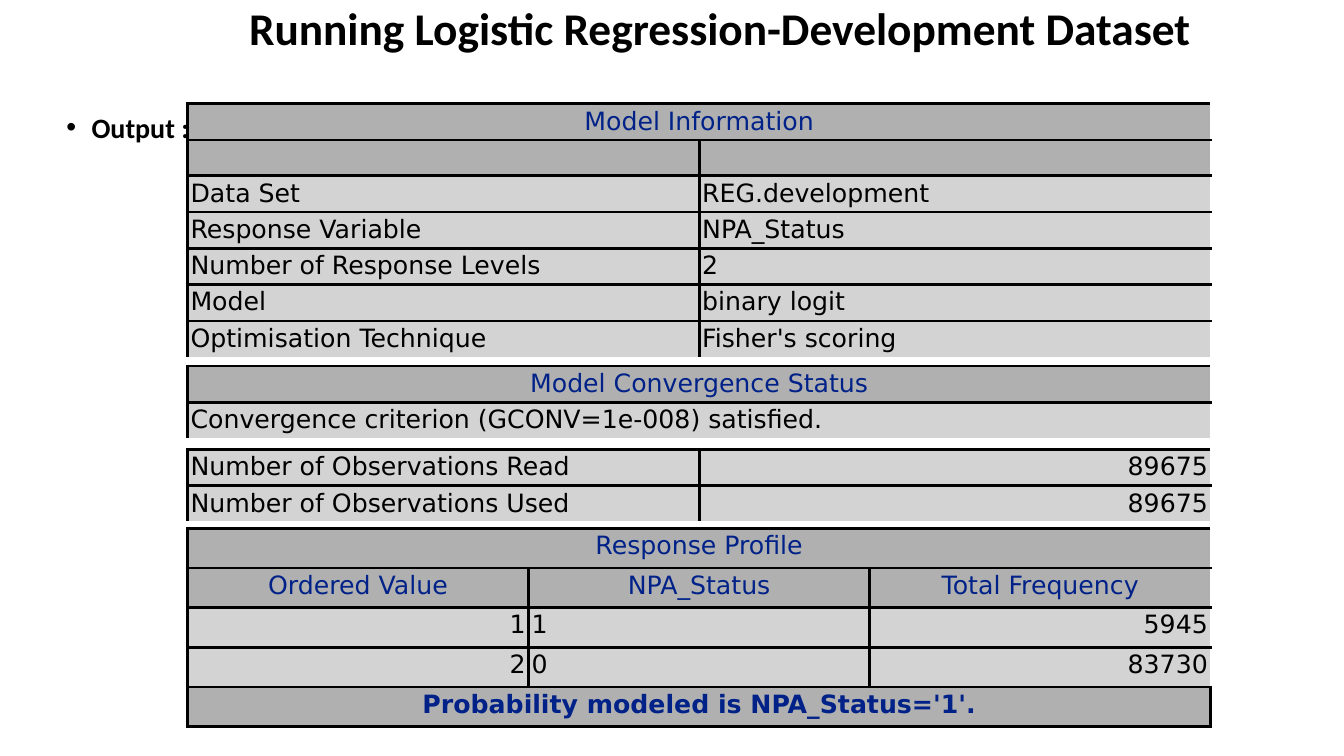
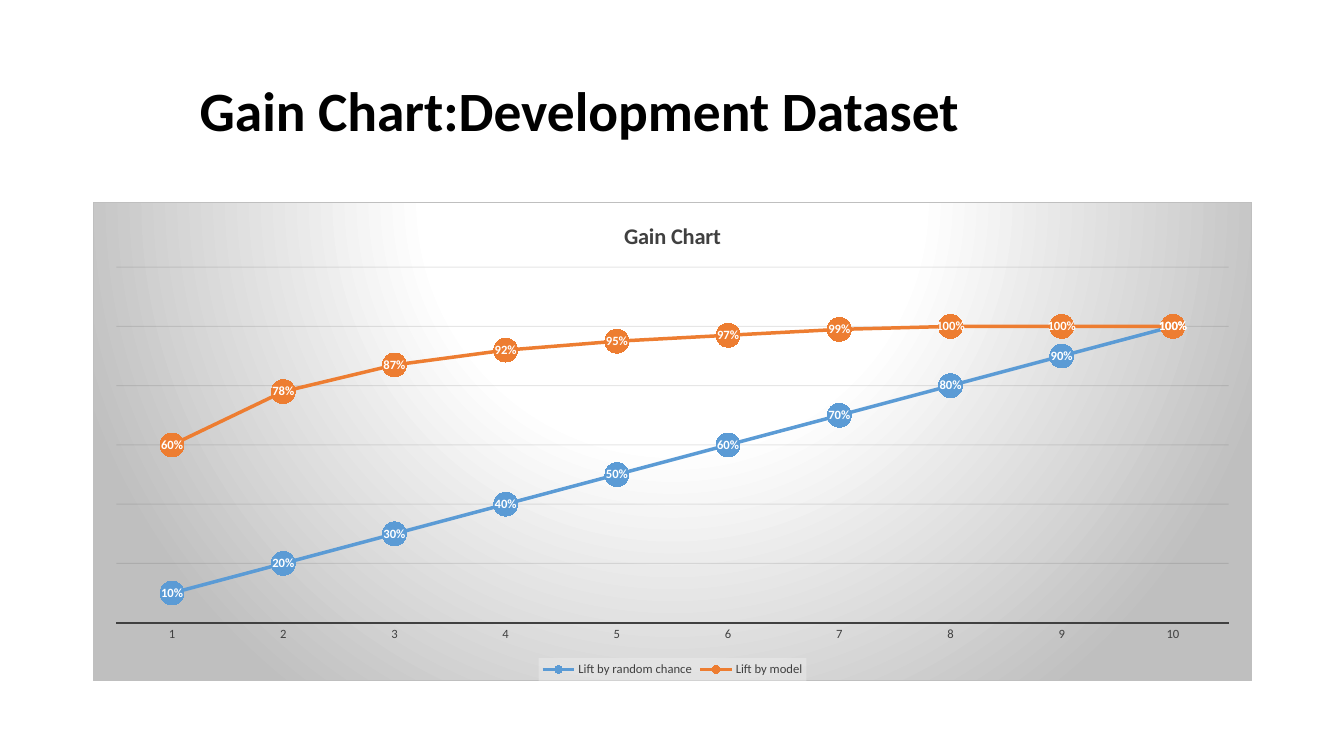
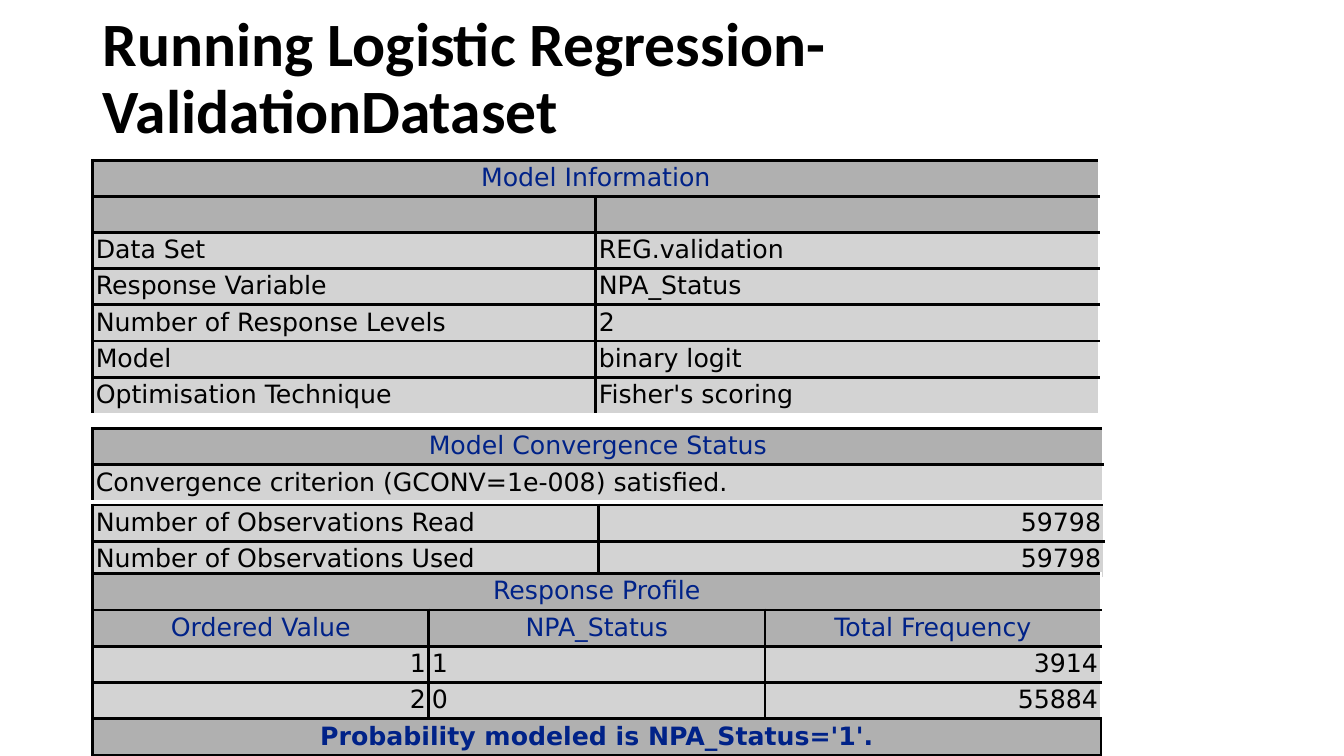
from dataclasses import dataclass

from pptx import Presentation
from pptx.chart.data import CategoryChartData
from pptx.dml.color import RGBColor
from pptx.enum.chart import XL_CHART_TYPE as ChartType
from pptx.enum.chart import XL_LABEL_POSITION as LabelPosition
from pptx.enum.chart import XL_LEGEND_POSITION as LegendPosition
from pptx.enum.chart import XL_MARKER_STYLE as MarkerStyle
from pptx.enum.chart import XL_TICK_MARK as TickMark
from pptx.enum.text import MSO_ANCHOR as Anchor
from pptx.enum.text import PP_ALIGN as Align
from pptx.oxml import parse_xml
from pptx.oxml.ns import nsdecls
from pptx.util import Inches, Pt

# Content: frames are (left, top, width, height) in inches
REPORTS = {
    "development": {
        "title": "Running Logistic Regression-Development Dataset",
        "title_format": {"frame": (0.92, 0.06, 11.24, 0.86), "size": 32.4,
                         "indent": 1.45, "anchor": Anchor.TOP},
        "bullet": "Output :",
        "read": "89675", "events": "5945", "others": "83730",
        "frames": {"info": (1.86, 1.03, 10.15, 2.47),
                   "observations": (1.86, 4.46, 10.15, 0.7),
                   "profile": (1.86, 5.24, 10.15, 1.97),
                   "convergence": (1.86, 3.63, 10.15, 0.7)},
    },
    "validation": {
        "title": "Running Logistic Regression-ValidationDataset",
        "title_format": {"frame": (0.92, 0.4, 11.5, 0.79), "size": 44},
        "bullet": None,
        "read": "59798", "events": "3914", "others": "55884",
        "frames": {"info": (0.92, 1.59, 9.98, 2.47),
                   "observations": (0.92, 5.01, 10.03, 0.7),
                   "profile": (0.92, 5.69, 10, 1.77),
                   "convergence": (0.92, 4.25, 10.02, 0.7)},
    },
}
GAIN = {
    "title": "Gain Chart:Development Dataset",
    "title_format": {"frame": (0.92, 0.4, 11.5, 1.45), "size": 39.6, "indent": 0.96},
    "frame": (0.92, 2, 11.5, 4.76),
    "chart_title": "Gain Chart",
    "deciles": [str(decile) for decile in range(1, 11)],
    "series": [
        ("Lift by random chance", [decile / 10 for decile in range(1, 11)], "5B9BD5"),
        ("Lift by model", [0.6, 0.78, 0.87, 0.92, 0.95, 0.97, 0.99, 1, 1, 1], "ED7D31"),
    ],
}


@dataclass(frozen=True)
class Theme:
    """Colours, fonts and sizes shared by the slides."""
    ink: str = "000000"
    paper: str = "FFFFFF"
    blue: str = "002288"
    head_fill: str = "B0B0B0"
    data_fill: str = "D3D3D3"
    chart_ink: str = "404040"
    chart_edge: str = "BFBFBF"
    legend_fill: str = "F2F2F2"
    grid: str = "0D0D0D"
    font: str = "Calibri"
    table_font: str = "DejaVu Sans"
    table_size: float = 18
    bullet_size: float = 20
    chart_title_size: float = 16
    chart_size: float = 9
    marker_size: int = 17
    rule: float = 2.25
    thin_rule: float = 1.13
    cell_inset: float = 0.03


THEME = Theme()
ALIGNS = {"l": Align.LEFT, "c": Align.CENTER, "r": Align.RIGHT}


def rgb(code):
    """Turn a hex code into a colour."""
    return RGBColor.from_string(code)


def assign(target, values):
    """Set attributes of an object from a dict."""
    for name, value in values.items():
        setattr(target, name, value)


def style_font(font, size, color, bold=False, name=THEME.font):
    """Set face, size, weight and colour of a font."""
    assign(font, {"name": name, "size": Pt(size), "bold": bold})
    font.color.rgb = rgb(color)


def add_page(deck):
    """Add a blank white slide."""
    page = deck.slides.add_slide(deck.slide_layouts[6])
    page.background.fill.solid()
    page.background.fill.fore_color.rgb = rgb(THEME.paper)
    return page


def add_text(page, text, frame, size, anchor=Anchor.TOP, **insets):
    """Add a bold text box and return its paragraph."""
    box = page.shapes.add_textbox(*map(Inches, frame))
    assign(box.text_frame, {"word_wrap": True, "vertical_anchor": anchor, **insets})
    para = box.text_frame.paragraphs[0]
    para.line_spacing = 0.9
    span = para.add_run()
    span.text = text
    style_font(span.font, size, THEME.ink, bold=True)
    return para


def add_title(page, text, frame, size, indent=0, anchor=Anchor.MIDDLE):
    """Add a slide title, indented from the left of its frame."""
    add_text(page, text, frame, size, anchor, margin_left=Inches(0.1 + indent),
             margin_top=0, margin_bottom=0)


def add_bullet(page, text):
    """Add the bulleted body line."""
    para = add_text(page, text, (0.56, 1.08, 11.86, 6.19), THEME.bullet_size)
    props = para._p.get_or_add_pPr()
    for name, value in {"marL": Inches(0.25), "indent": -Inches(0.25)}.items():
        props.set(name, str(int(value)))
    props.append(parse_xml(f'<a:buFont {nsdecls("a")} typeface="Arial"/>'))
    props.append(parse_xml(f'<a:buChar {nsdecls("a")} char="•"/>'))


def report_tables(dataset, report):
    """Return the tables of a report: name, data alignment, rows of (role, texts)."""
    return [
        ("info", "ll", [
            ("head", ["Model Information"]),
            ("head", ["", ""]),
            ("data", ["Data Set", f"REG.{dataset}"]),
            ("data", ["Response Variable", "NPA_Status"]),
            ("data", ["Number of Response Levels", "2"]),
            ("data", ["Model", "binary logit"]),
            ("data", ["Optimisation Technique", "Fisher's scoring"])]),
        ("observations", "lr", [
            ("data", ["Number of Observations Read", report["read"]]),
            ("data", ["Number of Observations Used", report["read"]])]),
        ("profile", "rlr", [
            ("head", ["Response Profile"]),
            ("head", ["Ordered Value", "NPA_Status", "Total Frequency"]),
            ("data", ["1", "1", report["events"]]),
            ("data", ["2", "0", report["others"]]),
            ("foot", ["Probability modeled is NPA_Status='1'."])]),
        ("convergence", "l", [
            ("head", ["Model Convergence Status"]),
            ("data", ["Convergence criterion (GCONV=1e-008) satisfied."])]),
    ]


def set_borders(cell, open_sides):
    """Rule a cell in black, with thin white on its open sides."""
    props = cell._tc.get_or_add_tcPr()
    for place, side in enumerate("LRTB"):
        is_open = side in open_sides
        color = THEME.paper if is_open else THEME.ink
        width = Pt(THEME.thin_rule if is_open else THEME.rule)
        props.insert(place, parse_xml(
            f'<a:ln{side} {nsdecls("a")} w="{int(width)}"><a:solidFill>'
            f'<a:srgbClr val="{color}"/></a:solidFill></a:ln{side}>'))


def fill_cell(cell, text, role, align):
    """Write one cell in the style of its row's role."""
    is_data = role == "data"
    inset = Inches(THEME.cell_inset)
    height_inset = inset if text else 0
    assign(cell, {"margin_left": inset, "margin_right": inset,
                  "margin_top": height_inset, "margin_bottom": height_inset})
    cell.fill.solid()
    cell.fill.fore_color.rgb = rgb(THEME.data_fill if is_data else THEME.head_fill)
    para = cell.text_frame.paragraphs[0]
    para.alignment = ALIGNS[align if is_data else "c"]
    if text:
        span = para.add_run()
        span.text = text
        style_font(span.font, THEME.table_size, THEME.ink if is_data else THEME.blue,
                   role == "foot", THEME.table_font)


def add_report_table(page, frame, aligns, rows):
    """Add a table with equal rows and columns; a lone text spans its row."""
    count, columns = len(rows), len(aligns)
    table = page.shapes.add_table(count, columns, *map(Inches, frame)).table
    assign(table, {"first_row": False, "horz_banding": False})
    for row, (role, texts) in enumerate(rows):
        spans = len(texts) < columns
        if spans:
            table.cell(row, 0).merge(table.cell(row, columns - 1))
        for column, align in enumerate(aligns):
            cell = table.cell(row, column)
            text = texts[column] if column < len(texts) else ""
            fill_cell(cell, text, role, align)
            right_open = role != "foot" and (spans or column == columns - 1)
            bottom_open = role != "foot" and row == count - 1
            set_borders(cell, "R" * right_open + "B" * bottom_open)


def add_report(deck, dataset, report):
    """Add a slide with the regression output for one dataset."""
    page = add_page(deck)
    add_title(page, report["title"], **report["title_format"])
    if report["bullet"]:
        add_bullet(page, report["bullet"])
    for name, aligns, rows in report_tables(dataset, report):
        add_report_table(page, report["frames"][name], aligns, rows)


def style_series(series, color):
    """Style one line with its round markers and centred labels."""
    series.smooth = False
    series.format.line.width = Pt(2.5)
    series.format.line.color.rgb = rgb(color)
    marker = series.marker
    assign(marker, {"style": MarkerStyle.CIRCLE, "size": THEME.marker_size})
    marker.format.fill.solid()
    marker.format.fill.fore_color.rgb = rgb(color)
    marker.format.line.fill.background()
    labels = series.data_labels
    assign(labels, {"show_value": True, "position": LabelPosition.CENTER,
                    "number_format": "0%", "number_format_is_linked": False})
    style_font(labels.font, THEME.chart_size, THEME.paper, bold=True)


def style_axes(chart):
    """Show the category axis and only the faint grid of the value axis."""
    deciles, shares = chart.category_axis, chart.value_axis
    assign(deciles, {"major_tick_mark": TickMark.NONE, "minor_tick_mark": TickMark.NONE})
    style_font(deciles.tick_labels.font, THEME.chart_size, THEME.chart_ink)
    deciles.format.line.width = Pt(1.5)
    deciles.format.line.color.rgb = rgb(THEME.chart_ink)
    assign(shares, {"visible": False, "has_major_gridlines": True, "minimum_scale": 0,
                    "maximum_scale": 1.2, "major_unit": 0.2})
    grid = shares.major_gridlines.format.line
    grid.width = Pt(0.75)
    grid.color.rgb = rgb(THEME.grid)
    grid_color = chart.element.xpath(".//c:majorGridlines//a:srgbClr")[0]
    grid_color.append(parse_xml(f'<a:alpha {nsdecls("a")} val="10000"/>'))


def style_legend(chart):
    """Place the legend below the plot on a translucent panel."""
    chart.has_legend = True
    legend = chart.legend
    assign(legend, {"position": LegendPosition.BOTTOM, "include_in_layout": False})
    style_font(legend.font, THEME.chart_size, THEME.chart_ink)
    chart.element.xpath("c:chart/c:legend/c:txPr")[0].addprevious(parse_xml(
        f'<c:spPr {nsdecls("c", "a")}><a:solidFill><a:srgbClr val="{THEME.legend_fill}">'
        '<a:alpha val="39000"/></a:srgbClr></a:solidFill></c:spPr>'))


def shade_chart(chart):
    """Give the chart area a radial gradient and a thin edge."""
    stops = [(0, THEME.paper), (39, THEME.paper), (100, THEME.chart_edge)]
    stop_xml = "".join(f'<a:gs pos="{share * 1000}"><a:srgbClr val="{color}"/></a:gs>'
                       for share, color in stops)
    chart.element.xpath("c:chart")[0].addnext(parse_xml(
        f'<c:spPr {nsdecls("c", "a")}><a:gradFill><a:gsLst>{stop_xml}</a:gsLst>'
        '<a:path path="circle"><a:fillToRect l="50000" t="-80000" r="50000" b="180000"/>'
        f'</a:path></a:gradFill><a:ln w="{int(Pt(0.75))}"><a:solidFill>'
        f'<a:srgbClr val="{THEME.chart_edge}"/></a:solidFill></a:ln></c:spPr>'))


def add_gain_chart(deck, gain):
    """Add the slide with the gain chart."""
    page = add_page(deck)
    add_title(page, gain["title"], **gain["title_format"])
    data = CategoryChartData(number_format="0%")
    data.categories = gain["deciles"]
    for name, values, _ in gain["series"]:
        data.add_series(name, values)
    chart = page.shapes.add_chart(ChartType.LINE_MARKERS,
                                  *map(Inches, gain["frame"]), data).chart
    style_font(chart.font, 10, THEME.ink)
    chart.plots[0].vary_by_categories = False
    chart.has_title = True
    span = chart.chart_title.text_frame.paragraphs[0].add_run()
    span.text = gain["chart_title"]
    style_font(span.font, THEME.chart_title_size, THEME.chart_ink, bold=True)
    for series, (_, _, color) in zip(chart.plots[0].series, gain["series"]):
        style_series(series, color)
    style_axes(chart)
    style_legend(chart)
    shade_chart(chart)


def build():
    """Build and save the deck."""
    deck = Presentation()
    assign(deck, {"slide_width": Inches(13.33), "slide_height": Inches(7.5)})
    add_report(deck, "development", REPORTS["development"])
    add_gain_chart(deck, GAIN)
    add_report(deck, "validation", REPORTS["validation"])
    deck.save("out.pptx")


build()
